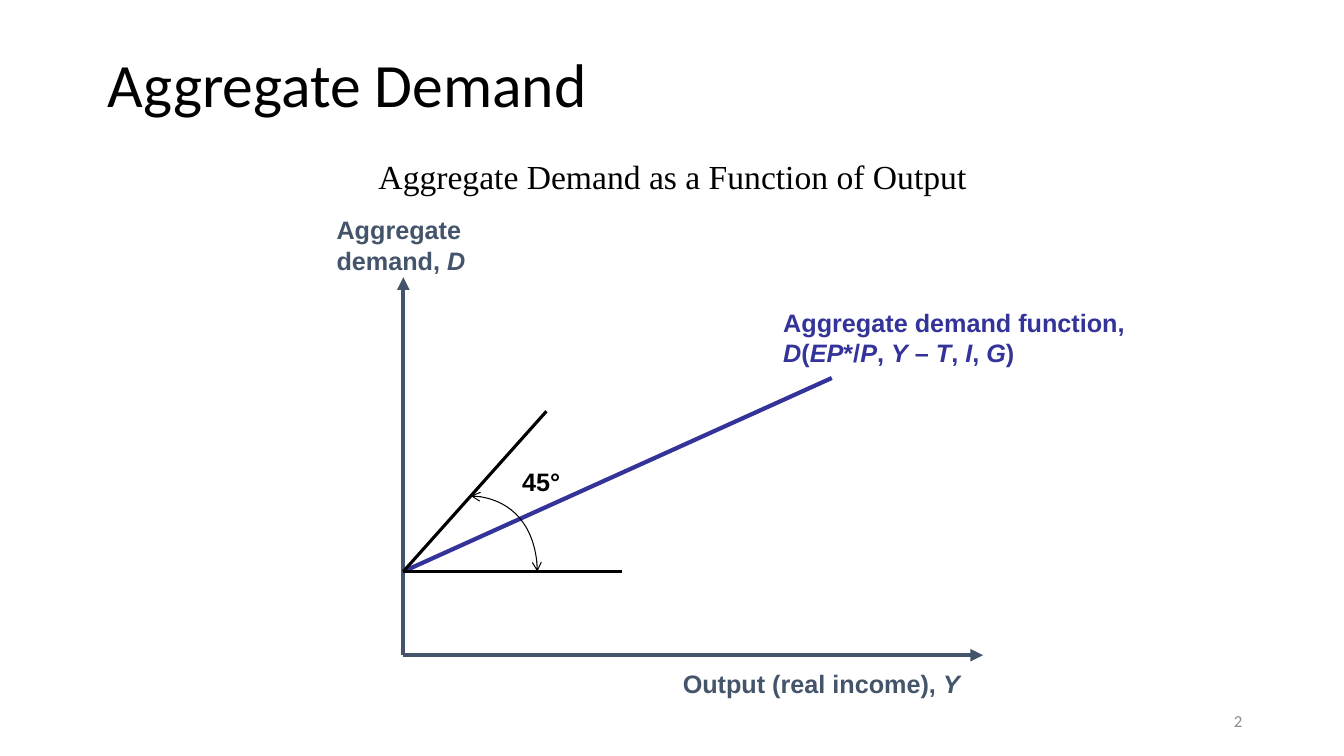
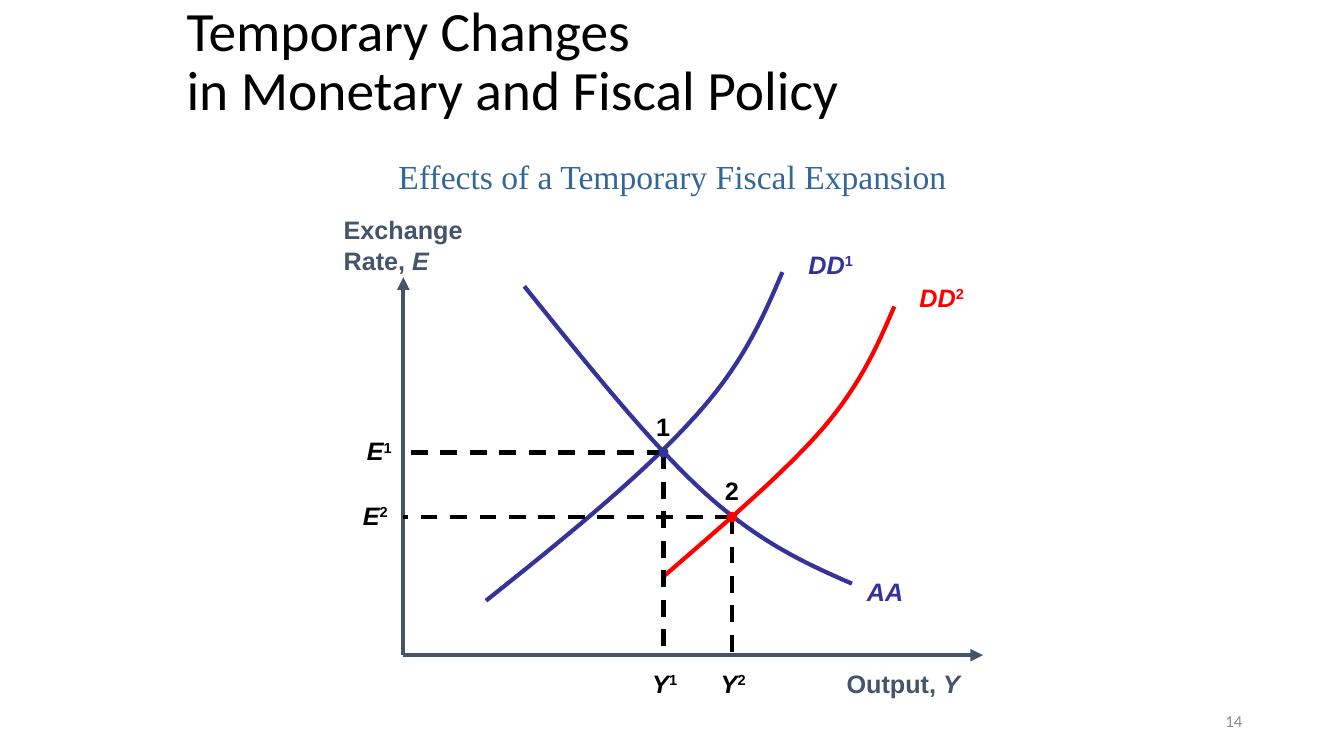
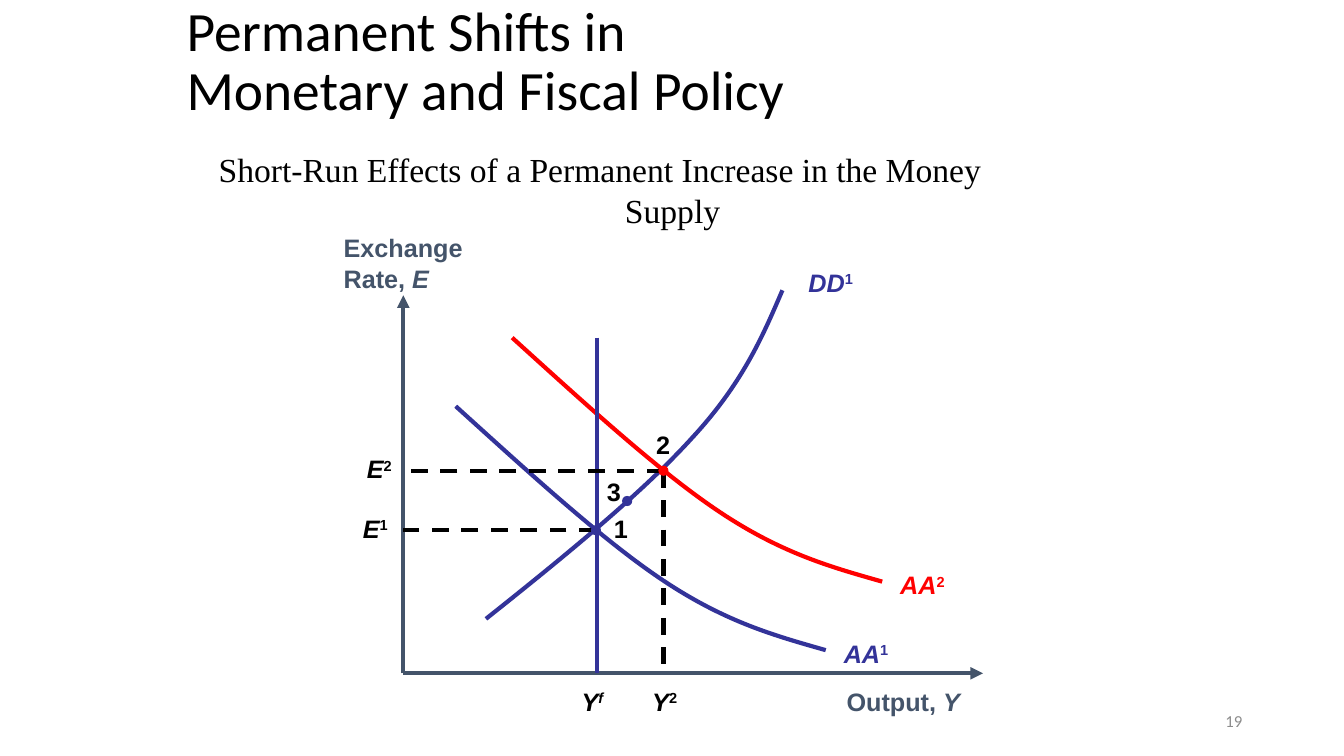
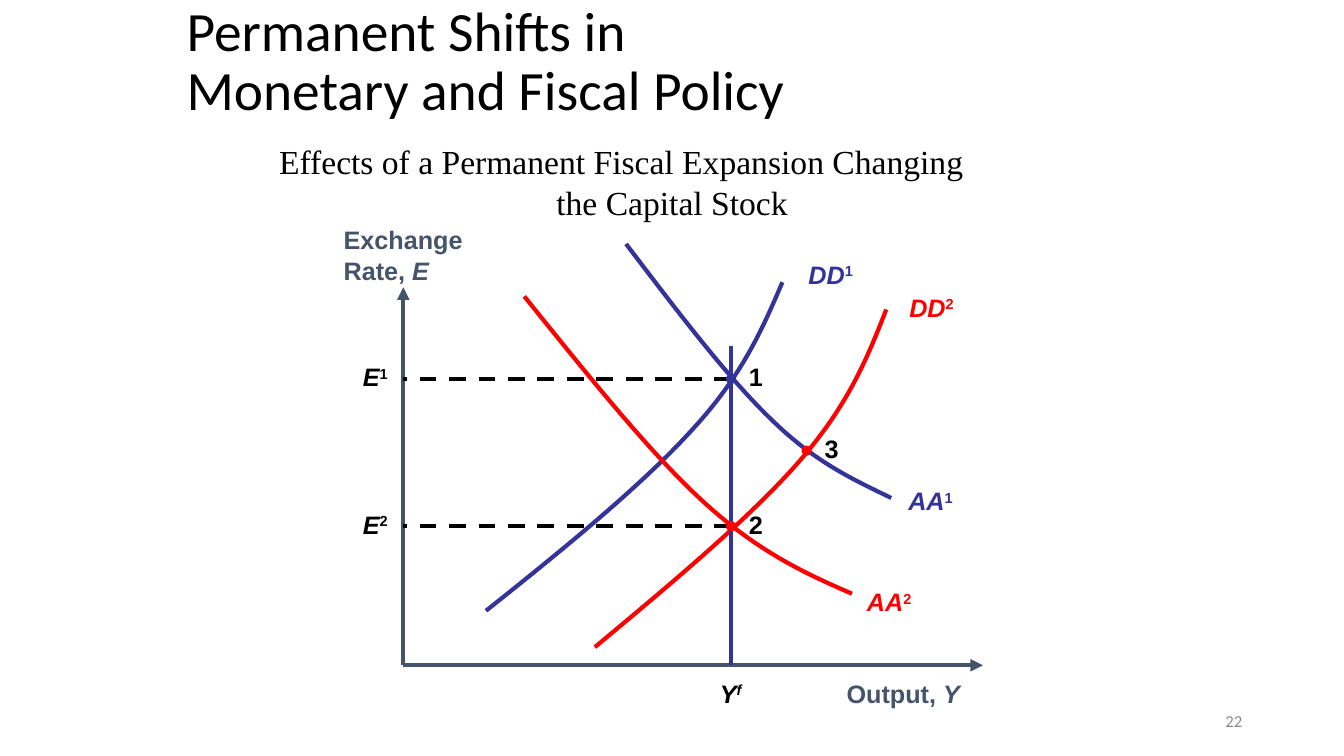
from pptx import Presentation, util as u
from pptx.dml.color import RGBColor
from pptx.enum import dml, shapes, text
from pptx.oxml import parse_xml
from pptx.oxml.ns import nsdecls, qn

PX = 9144  # EMU per px, 100 px to the inch
COLORS = {"black": "000000", "axis": "44546A", "blue": "333399", "red": "FF0000",
          "steel": "336699", "grey": "8C8C8C"}
AXIS_X, AXIS_END, AXIS_HEIGHT = 400, 975, 375
TICK_DROP = 8
DOT = 9
WIDE_TITLE, UPPER_TITLE = (97, 41, 1137, 92, 44), (175, 0, 850, 125, 39.6)


def symbol(name, sup=""):
    """One line: an italic letter with an optional superscript."""
    return [[(name, "i"), (sup, "si" if sup == "f" else "s")]]


EXCHANGE_RATE = [[("Exchange", "")], [("Rate, ", ""), ("E", "i")]]
OUTPUT = [[("Output, ", ""), ("Y", "i")]]
DEMAND_FUNCTION = [
    [("Aggregate demand function,", "")],
    [("D", "i"), ("(", ""), ("EP", "i"), ("*/", ""), ("P", "i"), (", ", ""), ("Y", "i"),
     (" – ", ""), ("T", "i"), (", ", ""), ("I", "i"), (", ", ""), ("G", "i"), (")", "")],
]

# Bezier points measured from the start of the curve, then the place of its label
CURVES = {
    "DD": ([(78, -62), (155, -125), (204, -179), (254, -233), (274, -279), (294, -326)],
           (310, -354)),
    "DD short": ([(60, -52), (120, -103), (159, -148), (197, -193), (213, -231), (229, -268)],
                 (244, -297)),
    "DD steep": ([(78, -65), (157, -131), (205, -187), (253, -243), (271, -289), (289, -335)],
                 (302, -357)),
    "AA": ([(63, 78), (125, 156), (179, 205), (233, 254), (279, 275), (325, 295)],
           (330, 283)),
    "AA short": ([(51, 67), (101, 133), (145, 175), (188, 217), (226, 234), (263, 252)],
                 (270, 235)),
    "AA flat": ([(74, 67), (148, 135), (209, 175), (270, 215), (318, 228), (367, 242)],
                (375, 225)),
}
ABOVE, RIGHT, UPPER_LEFT = (-17, -46), (8, -22), (-30, -29)

# subtitle lines: (text, indent), an indent of None centres the line
# curves: (shape, start, colour, label)
# points: (number, centre, colour, number offset, (E superscript, label left), Y superscript)
# full: full-employment line as (x, top, label left)
SLIDES = [
    {"number": "2", "title": ["Aggregate Demand"], "title_box": WIDE_TITLE,
     "subtitle": [("Aggregate Demand as a Function of Output", None)],
     "subtitle_color": "black", "subtitle_bottom": 200, "base": 650,
     "y_title": (324, [[("Aggregate", "")], [("demand, ", ""), ("D", "i")]]),
     "x_title": [[("Output (real income), ", ""), ("Y", "i")]]},
    {"number": "14", "title": ["Temporary Changes", "in Monetary and Fiscal Policy"],
     "subtitle": [("Effects of a Temporary Fiscal Expansion", None)],
     "subtitle_color": "steel", "subtitle_bottom": 200, "base": 650,
     "curves": [("DD", (482, 596), "blue", symbol("DD", "1")),
                ("AA", (520, 284), "blue", symbol("AA")),
                ("DD short", (658, 572), "red", symbol("DD", "2"))],
     "points": [("1", (658, 449), "blue", ABOVE, ("1", 354), "1"),
                ("2", (726, 513), "red", ABOVE, ("2", 350), "2")]},
    {"number": "19", "title": ["Permanent Shifts in", "Monetary and Fiscal Policy"],
     "subtitle": [("Short-Run Effects of a Permanent Increase in the Money", 40),
                  ("Supply", 443)],
     "subtitle_color": "black", "subtitle_bottom": 233, "base": 668,
     "curves": [("DD", (482, 614), "blue", symbol("DD", "1")),
                ("AA flat", (508, 335), "red", symbol("AA", "2")),
                ("AA flat", (452, 403), "blue", symbol("AA", "1"))],
     "full": (592, 335, 567),
     "points": [("2", (658, 467), "red", ABOVE, ("2", 354), "2"),
                ("1", (591, 526), "blue", RIGHT, ("1", 350), None),
                ("3", (622, 497), "blue", UPPER_LEFT, None, None)]},
    {"number": "22", "title": ["Permanent Shifts in", "Monetary and Fiscal Policy"],
     "subtitle": [("Effects of a Permanent Fiscal Expansion Changing", 100),
                  ("the Capital Stock", 375)],
     "subtitle_color": "black", "subtitle_bottom": 225, "base": 660,
     "curves": [("DD", (482, 606), "blue", symbol("DD", "1")),
                ("DD steep", (590, 642), "red", symbol("DD", "2")),
                ("AA short", (621, 242), "blue", symbol("AA", "1")),
                ("AA", (520, 294), "red", symbol("AA", "2"))],
     "full": (725, 343, 704),
     "points": [("2", (725, 522), "red", RIGHT, ("2", 350), None),
                ("1", (725, 376), "blue", RIGHT, ("1", 350), None),
                ("3", (800, 447), "red", RIGHT, None, None)]},
]


def px(*lengths):
    return [u.Emu(length * PX) for length in lengths]


def rgb(color):
    return RGBColor.from_string(COLORS[color])


def add_run(paragraph, words, size, font, color, bold=False, style=""):
    """Style letters: i for italic, s for superscript."""
    run = paragraph.add_run()
    run.text = words
    run.font.size, run.font.name, run.font.bold = u.Pt(size), font, bold
    run.font.italic = "i" in style
    run.font.color.rgb = rgb(color)
    if "s" in style:
        run.font._element.set("baseline", "30000")


def add_frame(slide, box, anchor=text.MSO_ANCHOR.TOP):
    frame = slide.shapes.add_textbox(*px(*box)).text_frame
    frame.word_wrap = True
    frame.vertical_anchor = anchor
    return frame


def next_paragraph(frame, index):
    return frame.add_paragraph() if index else frame.paragraphs[0]


def add_label(slide, left, top, lines, color="black", width=65, align=text.PP_ALIGN.LEFT):
    frame = add_frame(slide, (left, top, width, 10 + 30 * len(lines)))
    for index, runs in enumerate(lines):
        paragraph = next_paragraph(frame, index)
        paragraph.alignment = align
        for words, style in runs:
            if words:
                add_run(paragraph, words, 18, "Arial", color, True, style)


def style_line(shape, color, width, dash=None, **ends):
    shape.line.color.rgb = rgb(color)
    shape.line.width = u.Pt(width)
    if dash:
        shape.line.dash_style = dash
    for end in ("headEnd", "tailEnd"):
        if end in ends:
            shape.line._get_or_add_ln().append(
                parse_xml(f'<a:{end} {nsdecls("a")} type="{ends[end]}"/>'))


def add_line(slide, start, end, color, width=3, dash=None, **ends):
    line = slide.shapes.add_connector(shapes.MSO_CONNECTOR.STRAIGHT, *px(*start, *end))
    style_line(line, color, width, dash, **ends)
    line._element.spPr.append(parse_xml(f'<a:effectLst {nsdecls("a")}/>'))


def add_curve(slide, start, offsets, color, width=3, **ends):
    """Open Bezier curve, three offsets from the start to each segment."""
    x, y = start
    builder = slide.shapes.build_freeform(x, y, scale=PX)
    builder.add_line_segments([(x + dx, y + dy) for dx, dy in offsets], close=False)
    curve = builder.convert_to_shape()
    curve.fill.background()
    curve.shadow.inherit = False
    style_line(curve, color, width, **ends)
    steps = list(curve._element.iter(qn("a:lnTo")))
    for first in range(0, len(steps), 3):
        bezier = parse_xml(f'<a:cubicBezTo {nsdecls("a")}/>')
        steps[first].addprevious(bezier)
        for step in steps[first:first + 3]:
            bezier.append(step[0])
            step.getparent().remove(step)


def add_headings(slide, content):
    left, top, width, height, size = content.get("title_box", UPPER_TITLE)
    title = slide.shapes.title
    title.left, title.top, title.width, title.height = px(left, top, width, height)
    frame = title.text_frame
    frame.auto_size = text.MSO_AUTO_SIZE.NONE
    frame.vertical_anchor = text.MSO_ANCHOR.MIDDLE
    paragraph = frame.paragraphs[0]
    paragraph.alignment, paragraph.line_spacing = text.PP_ALIGN.LEFT, 0.9
    for index, words in enumerate(content["title"]):
        if index:
            paragraph.add_line_break()
        add_run(paragraph, words, size, "Calibri", "black")

    subtitle = add_frame(slide, (167, content["subtitle_bottom"] - 58, 1000, 58),
                         text.MSO_ANCHOR.BOTTOM)
    for index, (words, indent) in enumerate(content["subtitle"]):
        paragraph = next_paragraph(subtitle, index)
        if indent is None:
            paragraph.alignment = text.PP_ALIGN.CENTER
        else:
            paragraph._p.get_or_add_pPr().set("marL", str(indent * PX))
        add_run(paragraph, words, 24, "Times New Roman", content["subtitle_color"])

    number = add_frame(slide, (942, 695, 300, 40), text.MSO_ANCHOR.MIDDLE).paragraphs[0]
    number.alignment = text.PP_ALIGN.RIGHT
    add_run(number, content["number"], 12, "Calibri", "grey")


def add_axes(slide, content):
    base = content["base"]
    origin = (AXIS_X, base)
    for end in ((AXIS_X, base - AXIS_HEIGHT), (AXIS_END, base)):
        add_line(slide, origin, end, "axis", tailEnd="triangle")
    title_left, title_lines = content.get("y_title", (331, EXCHANGE_RATE))
    add_label(slide, title_left, base - 442, title_lines, "axis", 160)
    add_label(slide, 657, base + TICK_DROP, content.get("x_title", OUTPUT), "axis", 305,
              text.PP_ALIGN.RIGHT)


def add_demand_line(slide):
    start = (AXIS_X, 567)
    add_line(slide, start, (825, 375), "blue")
    add_label(slide, 767, 300, DEMAND_FUNCTION, "blue", 370)
    for end in ((617, 567), (542, 408)):
        add_line(slide, start, end, "black", 2.25)
    add_curve(slide, (467, 492), [(36, 0), (66, 33), (66, 75)], "black", 0.75,
              headEnd="arrow", tailEnd="arrow")
    add_label(slide, 508, 458, [[("45°", "")]])


def add_point(slide, base, number, centre, color, offset, rate, output):
    x, y = centre
    dash = dml.MSO_LINE.DASH
    if rate:
        sup, left = rate
        add_line(slide, centre, (AXIS_X, y), "black", dash=dash)
        add_label(slide, left, y - 22, symbol("E", sup))
    if output:
        add_line(slide, centre, (x, base), "black", dash=dash)
        add_label(slide, x - 21, base + TICK_DROP, symbol("Y", output))
    dot = slide.shapes.add_shape(shapes.MSO_SHAPE.OVAL,
                                 *px(x - DOT / 2, y - DOT / 2, DOT, DOT))
    dot.shadow.inherit = False
    dot.fill.solid()
    dot.fill.fore_color.rgb = rgb(color)
    style_line(dot, color, 0.75)
    add_label(slide, x + offset[0], y + offset[1], [[(number, "")]], width=34)


def add_market(slide, content):
    base = content["base"]
    for shape, start, color, label in content["curves"]:
        offsets, (dx, dy) = CURVES[shape]
        add_curve(slide, start, offsets, color)
        add_label(slide, start[0] + dx, start[1] + dy, label, color)
    if "full" in content:
        x, top, label_left = content["full"]
        add_line(slide, (x, top), (x, base), "blue")
        add_label(slide, label_left, base + TICK_DROP, symbol("Y", "f"))
    for point in content["points"]:
        add_point(slide, base, *point)


def main():
    deck = Presentation()
    deck.slide_width, deck.slide_height = px(1333, 750)
    title_only = deck.slide_layouts[5]
    for content in SLIDES:
        slide = deck.slides.add_slide(title_only)
        add_headings(slide, content)
        add_axes(slide, content)
        if "curves" in content:
            add_market(slide, content)
        else:
            add_demand_line(slide)
    deck.save("out.pptx")


if __name__ == "__main__":
    main()
